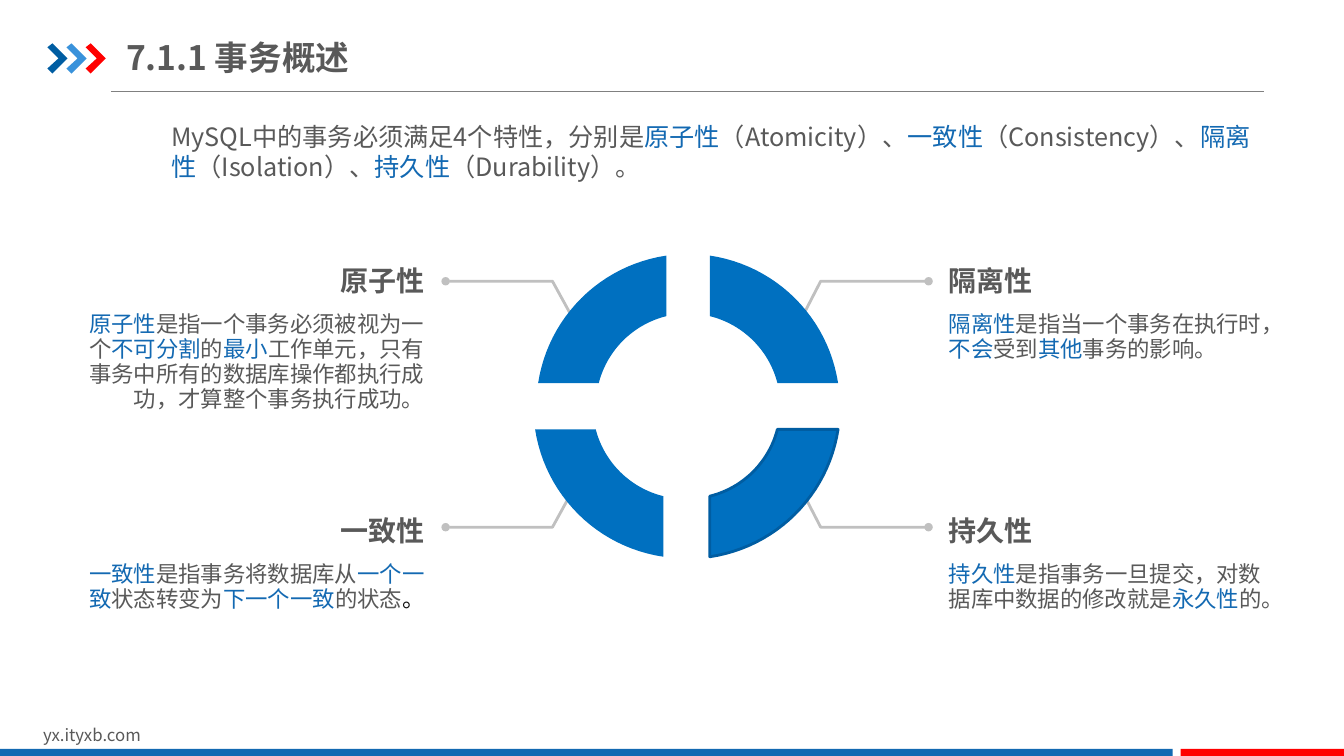
from math import acos, asin, cos, sin

from lxml.etree import SubElement
from pptx import Presentation
from pptx.dml.color import RGBColor
from pptx.enum.shapes import MSO_CONNECTOR as Connector, MSO_SHAPE as Shape
from pptx.enum.text import MSO_ANCHOR as Anchor, MSO_AUTO_SIZE as AutoSize, PP_ALIGN as Align
from pptx.oxml.ns import qn
from pptx.util import Inches, Pt

FONT = "Noto Sans CJK SC"
WHITE = RGBColor(0xFF, 0xFF, 0xFF)
TEXT = RGBColor(0x59, 0x59, 0x59)
NEAR_BLACK = RGBColor(0x0D, 0x0D, 0x0D)
ACCENT = RGBColor(0x13, 0x69, 0xB2)
RING = RGBColor(0x00, 0x70, 0xC0)
NAVY = RGBColor(0x00, 0x5D, 0xA2)
SKY = RGBColor(0x39, 0x92, 0xDB)
RED = RGBColor(0xFF, 0x00, 0x00)
SILVER = RGBColor(0xC0, 0xC0, 0xC0)
GRAY = RGBColor(0x80, 0x80, 0x80)

RING_Y = 4.03
OUTER, INNER = 1.51, 0.92
HALF_GAP_X, HALF_GAP_Y = 0.22, 0.23
ARC_STEPS = 24


def add_run(para, text, size, color, bold=False):
    span = para.add_run()
    span.text = text
    font = span.font
    font.size, font.bold, font.name = Pt(size), bold, FONT
    font.color.rgb = color
    SubElement(font._element, qn("a:ea"), typeface=FONT)


def add_marked(para, marked, size, bold=False):
    for index, part in enumerate(marked.split("|")):
        if part:
            add_run(para, part, size, ACCENT if index % 2 else TEXT, bold)


def set_frame(frame, anchor, inset_x, inset_y):
    frame.word_wrap = True
    frame.auto_size = AutoSize.NONE
    frame.vertical_anchor = anchor
    frame.margin_left = frame.margin_right = Inches(inset_x)
    frame.margin_top = frame.margin_bottom = Inches(inset_y)


def add_text(page, area, marked, size, bold=False, align=Align.LEFT,
             spacing=1.0, anchor=Anchor.TOP, inset_x=0, inset_y=0):
    box = page.shapes.add_textbox(*map(Inches, area))
    set_frame(box.text_frame, anchor, inset_x, inset_y)
    para = box.text_frame.paragraphs[0]
    para.alignment, para.line_spacing = align, spacing
    add_marked(para, marked, size, bold)
    return para


def add_title(page, text):
    title = page.shapes.title
    title.left, title.top = Inches(1.25), Inches(0.29)
    title.width, title.height = Inches(4.26), Inches(0.55)
    set_frame(title.text_frame, Anchor.MIDDLE, 0, 0.07)
    para = title.text_frame.paragraphs[0]
    para.alignment = Align.LEFT
    add_marked(para, text, 24, bold=True)


def add_bar(page, left, width, color):
    bar = page.shapes.add_shape(Shape.RECTANGLE, Inches(left), Inches(7.43),
                                Inches(width), Inches(0.09))
    bar.shadow.inherit = False
    bar.fill.solid()
    bar.fill.fore_color.rgb = color
    bar.line.fill.background()


def add_outline(page, points, fill=None, line=None, close=True):
    corners = [(Inches(x), Inches(y)) for x, y in points]
    builder = page.shapes.build_freeform(*corners[0])
    builder.add_line_segments(corners[1:], close=close)
    outline = builder.convert_to_shape()
    outline.shadow.inherit = False
    if fill is None:
        outline.fill.background()
    else:
        outline.fill.solid()
        outline.fill.fore_color.rgb = fill
    if line is None:
        outline.line.fill.background()
    else:
        outline.line.color.rgb = line
        outline.line.width = Pt(2)
    return outline


def add_chevron(page, left, color):
    offsets = [(0, 0.04), (0.05, 0), (0.2, 0.15), (0.05, 0.3), (0, 0.25), (0.11, 0.15)]
    add_outline(page, [(left + x, 0.43 + y) for x, y in offsets], color)


def add_divider(page):
    divider = page.shapes.add_connector(Connector.STRAIGHT, Inches(1.1), Inches(0.91),
                                        Inches(12.54), Inches(0.91))
    divider.line.color.rgb = GRAY
    divider.line.width = Pt(0.75)
    SubElement(divider._element.spPr, qn("a:effectLst"))


def add_leader(page, xs, ys):
    leader = add_outline(page, list(zip(xs, ys)), line=SILVER, close=False)
    SubElement(leader.line._get_or_add_ln(), qn("a:tailEnd"), type="oval")


def arc_points(radius):
    start, end = asin(HALF_GAP_Y / radius), acos(HALF_GAP_X / radius)
    angles = [start + (end - start) * step / ARC_STEPS for step in range(ARC_STEPS + 1)]
    return [(radius * cos(angle), radius * sin(angle)) for angle in angles]


def add_ring_quarter(page, center_x, side, vertical, line=None):
    points = arc_points(OUTER) + arc_points(INNER)[::-1]
    add_outline(page, [(center_x + side * x, RING_Y + vertical * y) for x, y in points],
                RING, line)


def add_property(page, side, heading_top, heading, definition):
    align = Align.LEFT if side > 0 else Align.RIGHT
    heading_left, body_left, body_width = (9.41, 9.41, 3.14) if side > 0 else (1.3, 0.84, 3.37)
    add_text(page, (heading_left, heading_top, 2.91, 0.93), heading, 20, True,
             align, 1.2, Anchor.BOTTOM)
    return add_text(page, (body_left, heading_top + 1.07, body_width, 1.45), definition, 16,
                    align=align, spacing=Pt(18))


def main():
    deck = Presentation()
    deck.slide_width, deck.slide_height = Inches(13.33), Inches(7.5)
    page = deck.slides.add_slide(deck.slide_layouts[5])
    page.background.fill.solid()
    page.background.fill.fore_color.rgb = WHITE

    add_divider(page)
    for index, color in enumerate((NAVY, SKY, RED)):
        add_chevron(page, 0.47 + 0.19 * index, color)
    add_title(page, "7.1.1 事务概述")
    add_text(page, (0.33, 7.14, 3.18, 0.3), "yx.ityxb.com", 12, inset_x=0.1, inset_y=0.05)
    add_bar(page, 0, 11.63, ACCENT)
    add_bar(page, 11.71, 1.62, RED)

    add_text(page, (1.6, 1.15, 11.02, 0.71),
             "MySQL中的事务必须满足4个特性，分别是|原子性|（Atomicity）、|一致性|"
             "（Consistency）、|隔离性|（Isolation）、|持久性|（Durability）。",
             18, inset_x=0.1, inset_y=0.05)

    for xs in ((7.98, 8.14, 9.21), (5.65, 5.48, 4.42)):
        for ys in ((3.1, 2.79, 2.79), (4.92, 5.23, 5.23)):
            add_leader(page, xs, ys)

    add_ring_quarter(page, 6.83, -1, -1)
    add_ring_quarter(page, 6.82, 1, -1)
    add_ring_quarter(page, 6.8, -1, 1)
    add_ring_quarter(page, 6.82, 1, 1, NAVY)

    add_property(page, -1, 2.02, "原子性",
                 "|原子性|是指一个事务必须被视为一个|不可分割|的|最小|工作单元，"
                 "只有事务中所有的数据库操作都执行成功，才算整个事务执行成功。")
    add_property(page, 1, 2.02, "隔离性",
                 "|隔离性|是指当一个事务在执行时，|不会|受到|其他|事务的影响。")
    consistency = add_property(page, -1, 4.5, "一致性",
                               "|一致性|是指事务将数据库从|一个一致|状态转变为|下一个一致|的状态")
    add_run(consistency, "。", 16, NEAR_BLACK)
    add_property(page, 1, 4.5, "持久性",
                 "|持久性|是指事务一旦提交，对数据库中数据的修改就是|永久性|的。")

    deck.save("out.pptx")


if __name__ == "__main__":
    main()
